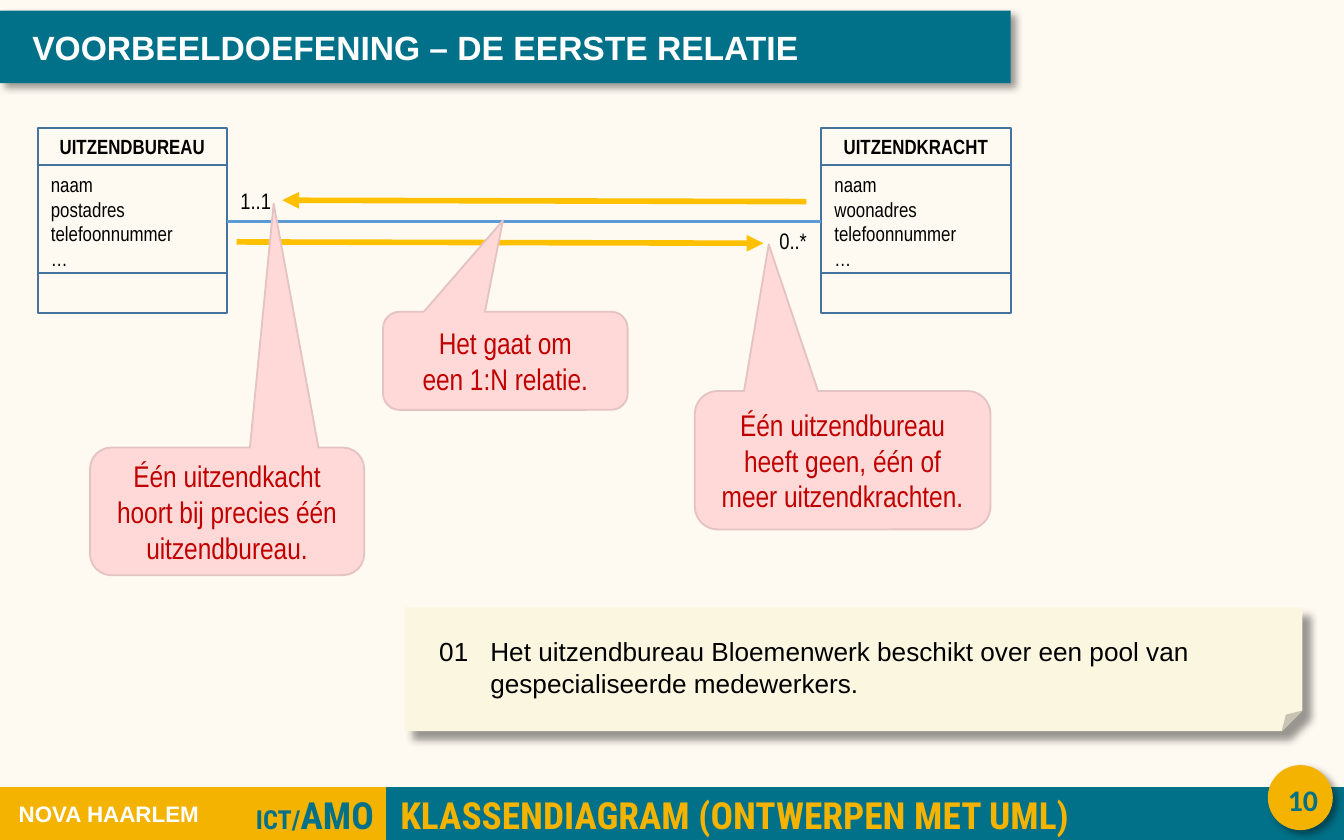
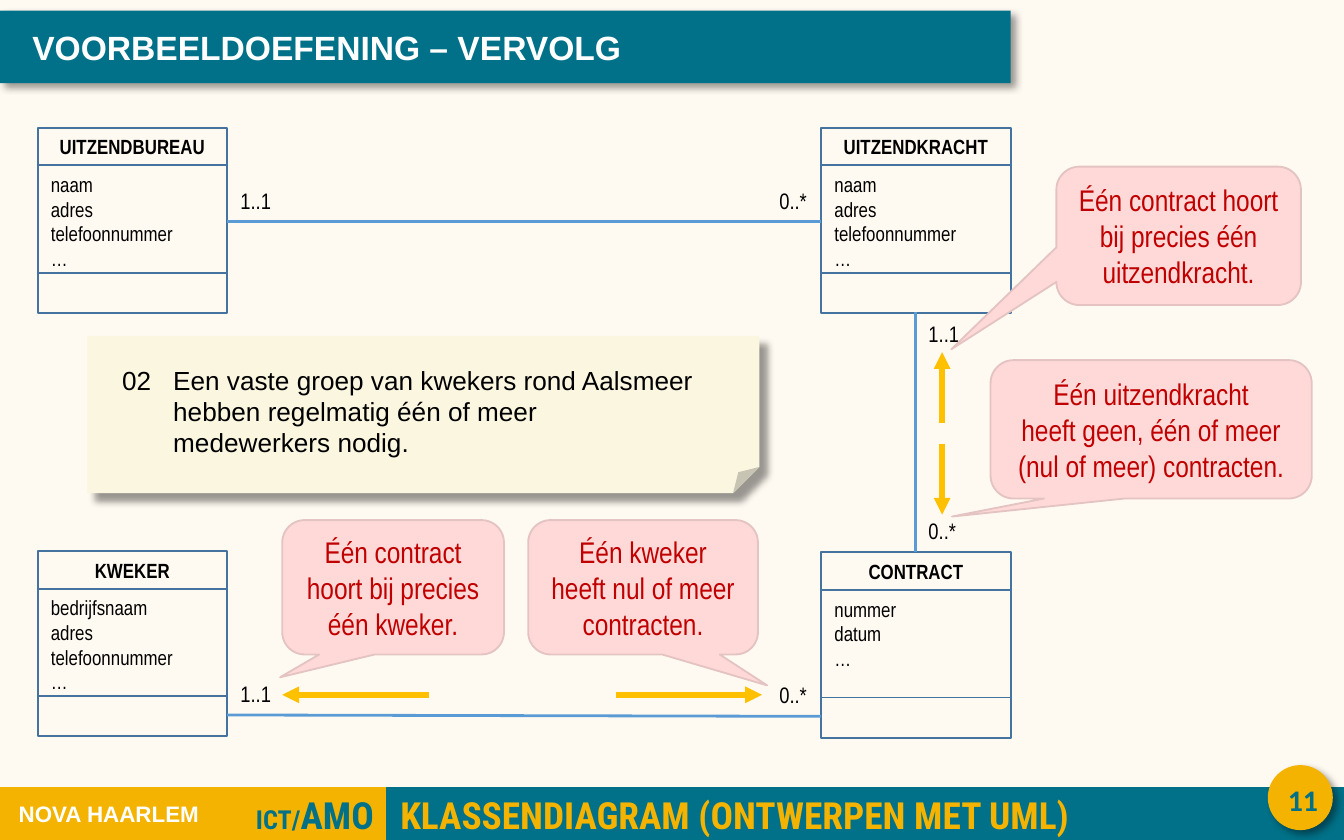
import pptx
import pptx.dml.color
import pptx.enum.shapes
import pptx.enum.text
import pptx.oxml
import pptx.oxml.ns
import pptx.util
from dataclasses import dataclass

Inches = pptx.util.Inches
Pt = pptx.util.Pt
KIND = pptx.enum.shapes.MSO_SHAPE
ALIGN = pptx.enum.text.PP_ALIGN
ANCHOR = pptx.enum.text.MSO_ANCHOR
FIT = pptx.enum.text.MSO_AUTO_SIZE
PAD = (0.1, 0.05, 0.1, 0.05)


@dataclass(frozen=True)
class Theme:
    teal: str = "007188"
    gold: str = "F3B300"
    cream: str = "FFF6E4"
    note: str = "FBF6E0"
    pink: str = "FFD9D7"
    rose: str = "E4C3C3"
    red: str = "C00000"
    frame: str = "43739E"
    link: str = "5B9BD5"
    arrow: str = "FFC000"
    black: str = "000000"
    white: str = "FFFFFF"
    sans: str = "Arial"
    narrow: str = "Arial Narrow"
    brand: str = "Roboto Condensed"
    digit: str = "Calibri"
    title: int = 18
    band: int = 20
    small: int = 14
    page: int = 16
    school: int = 12
    item: int = 11
    label: int = 12
    call: int = 16
    body: int = 14


T = Theme()


# Basic helpers
def rgb(code):
    return pptx.dml.color.RGBColor.from_string(code)


def node(parent, tag, **attrs):
    child = pptx.oxml.parse_xml(f"<a:{tag} {pptx.oxml.ns.nsdecls('a')}/>")
    for key, value in attrs.items():
        child.set(key, str(value))
    parent.append(child)
    return child


def style(run, font, size, color, bold=False):
    run.font.name = font
    run.font.size = Pt(size)
    run.font.bold = bold
    run.font.color.rgb = rgb(color)


def write(shape, lines, look, align=ALIGN.LEFT, anchor=ANCHOR.TOP,
          pad=PAD, wrap=True, grow=False):
    frame = shape.text_frame
    frame.word_wrap = wrap
    frame.auto_size = FIT.SHAPE_TO_FIT_TEXT if grow else FIT.NONE
    frame.vertical_anchor = anchor
    (frame.margin_left, frame.margin_top,
     frame.margin_right, frame.margin_bottom) = map(Inches, pad)
    for i, line in enumerate(lines):
        para = frame.add_paragraph() if i else frame.paragraphs[0]
        para.text = line
        para.alignment = align
        for run in para.runs:
            style(run, *look)
    return frame


def add_text(slide, box, lines, look, **opts):
    return write(slide.shapes.add_textbox(*map(Inches, box)), lines, look, **opts)


def add_form(shapes, kind, box, fill=None, line=None, shade=None):
    form = shapes.add_shape(kind, *map(Inches, box))
    form.shadow.inherit = False
    if fill:
        form.fill.solid()
        form.fill.fore_color.rgb = rgb(fill)
    else:
        form.fill.background()
    if line:
        form.line.color.rgb = rgb(line)
        form.line.width = Pt(1)
    else:
        form.line.fill.background()
    if shade:
        add_shade(form, shade)
    return form


def add_shade(form, dist):
    effect = form._element.spPr.find(pptx.oxml.ns.qn("a:effectLst"))
    outer = node(effect, "outerShdw", blurRad=Pt(4), dist=Pt(dist),
                 dir=45 * 60000, algn="tl", rotWithShape=0)
    node(node(outer, "srgbClr", val=T.black), "alpha", val=40000)


# Diagram parts
def add_line(slide, start, end, color=T.link, width=1.5, head=False):
    line = slide.shapes.add_connector(
        pptx.enum.shapes.MSO_CONNECTOR.STRAIGHT, *map(Inches, start + end))
    line.line.color.rgb = rgb(color)
    line.line.width = Pt(width)
    if head:
        node(line.line._get_or_add_ln(), "tailEnd", type="triangle")
    node(line._element.spPr, "effectLst")


def add_arrow(slide, start, end):
    add_line(slide, start, end, T.arrow, 3, head=True)


def add_class(slide, left, top, name, fields):
    shapes = slide.shapes.add_group_shape().shapes
    cells = []
    for high in (0.28, 0.8, 0.3):
        cells.append(add_form(shapes, KIND.RECTANGLE, (left, top, 1.41, high), line=T.frame))
        top += high
    write(cells[0], [name], (T.narrow, T.item, T.black, True),
          align=ALIGN.CENTER, anchor=ANCHOR.MIDDLE)
    write(cells[1], fields, (T.narrow, T.item, T.black))


def add_label(slide, left, top, text):
    add_text(slide, (left, top, 0.45, 0.3), [text], (T.narrow, T.label, T.black),
             wrap=False, grow=True)


def add_call(slide, box, tip, *lines):
    call = add_form(slide.shapes, KIND.ROUNDED_RECTANGULAR_CALLOUT, box, T.pink, T.rose)
    call.adjustments[0], call.adjustments[1] = tip
    write(call, lines, (T.narrow, T.call, T.red), align=ALIGN.CENTER, anchor=ANCHOR.MIDDLE)


def add_note(slide, box, inner, text):
    add_form(slide.shapes, KIND.FOLDED_CORNER, box, T.note, shade=6)
    left, top = box[0] + 0.14, box[1] + 0.16
    frame = add_text(slide, (left, top, *inner), [text], (T.sans, T.body, T.black), grow=True)
    para = frame.paragraphs[0]
    para.space_after = Pt(6)
    props = para._p.get_or_add_pPr()
    props.set("marL", str(Inches(0.4)))
    props.set("indent", str(Inches(-0.38)))


# Shared frame: background, footer bands, page number and title
def add_base(deck, page, title):
    slide = deck.slides.add_slide(deck.slide_layouts[6])
    shapes = slide.shapes
    back = add_form(shapes, KIND.RECTANGLE, (0, -0.01, 10, 5.87), T.cream)
    tint = back._element.spPr.find(".//" + pptx.oxml.ns.qn("a:srgbClr"))
    node(tint, "alpha", val=50000)

    add_form(shapes, KIND.RECTANGLE, (0, 5.86, 2.88, 0.4), T.gold, T.gold)
    add_form(shapes, KIND.RECTANGLE, (2.88, 5.86, 7.12, 0.4), T.teal, T.teal)
    flat = dict(anchor=ANCHOR.MIDDLE, pad=(0.1, 0, 0.1, 0), grow=True)
    frame = add_text(slide, (0, 5.89, 2.88, 0.34), ["ICT/"],
                     (T.brand, T.small, T.teal, True), align=ALIGN.RIGHT, **flat)
    run = frame.paragraphs[0].add_run()
    run.text = "AMO"
    style(run, T.brand, T.band, T.teal, True)
    add_text(slide, (2.88, 5.89, 7.12, 0.34), ["KLASSENDIAGRAM (ONTWERPEN MET UML)"],
             (T.brand, T.band, T.gold, True), **flat)

    add_form(shapes, KIND.OVAL, (9.44, 5.7, 0.47, 0.47), T.gold, T.gold, shade=3)
    add_text(slide, (9.4, 5.77, 0.59, 0.64), [str(page)],
             (T.digit, T.page, T.teal, True), align=ALIGN.CENTER, grow=True)
    add_text(slide, (0, 5.86, 1.62, 0.39), ["NOVA HAARLEM"],
             (T.sans, T.school, T.white, True), align=ALIGN.CENTER, anchor=ANCHOR.MIDDLE)

    bar = add_form(shapes, KIND.RECTANGLE, (0, 0.08, 7.52, 0.54), T.teal, shade=3)
    write(bar, [title], (T.sans, T.title, T.white, True),
          pad=(0.24, 0.12, 0, 0.12), grow=True)
    return slide


# Top row of classes and the relation between them
def add_pair(slide, first, second):
    for left, name, place in ((0.28, "UITZENDBUREAU", first), (6.11, "UITZENDKRACHT", second)):
        add_class(slide, left, 0.95, name, ["naam", place, "telefoonnummer", "…"])
    add_line(slide, (1.69, 1.65), (6.11, 1.65))
    add_label(slide, 1.69, 1.34, "1..1")


def draw_first(deck):
    slide = add_base(deck, 10, "VOORBEELDOEFENING – DE EERSTE RELATIE")
    add_pair(slide, "postadres", "woonadres")
    add_label(slide, 5.7, 1.64, "0..*")
    add_note(slide, (3.01, 4.52, 6.68, 0.92), (6.24, 0.57),
             "01\tHet uitzendbureau Bloemenwerk beschikt over een pool van "
             "gespecialiseerde medewerkers.")
    add_call(slide, (5.17, 2.91, 2.2, 1.03), (-0.25, -1.56),
             "Één uitzendbureau heeft geen, één of meer uitzendkrachten.")
    add_arrow(slide, (1.76, 1.8), (5.68, 1.81))
    add_arrow(slide, (6, 1.5), (2.1, 1.49))
    add_call(slide, (2.85, 2.32, 1.82, 0.73), (-0.01, -1.43),
             "Het gaat om\veen 1:N relatie.")
    add_call(slide, (0.67, 3.33, 2.04, 0.95), (0.17, -2.41),
             "Één uitzendkacht hoort bij precies één uitzendbureau.")


def draw_second(deck):
    slide = add_base(deck, 11, "VOORBEELDOEFENING – VERVOLG")
    add_pair(slide, "adres", "adres")
    add_label(slide, 5.7, 1.34, "0..*")
    add_class(slide, 0.28, 4.1, "KWEKER", ["bedrijfsnaam", "adres", "telefoonnummer", "…"])
    add_note(slide, (0.65, 2.5, 5, 1.17), (4.51, 0.81),
             "02\tEen vaste groep van kwekers rond Aalsmeer hebben regelmatig "
             "één of meer medewerkers nodig.")
    add_class(slide, 6.11, 4.11, "CONTRACT", ["nummer", "datum", "…"])

    # Relations with the contract
    add_line(slide, (1.69, 5.32), (6.11, 5.33))
    add_line(slide, (6.81, 2.32), (6.81, 4.11))
    add_label(slide, 6.81, 2.33, "1..1")
    add_label(slide, 6.81, 3.8, "0..*")
    add_label(slide, 5.7, 5.02, "0..*")
    add_label(slide, 1.69, 5.01, "1..1")

    # Explanations
    add_call(slide, (7.37, 2.68, 2.39, 1.03), (-0.62, 0.63),
             "Één uitzendkracht", "heeft geen, één of meer (nul of meer) contracten.")
    add_call(slide, (2.1, 3.87, 1.65, 1), (-0.51, 0.67),
             "Één contract hoort bij precies één kweker.")
    add_call(slide, (7.86, 1.24, 1.82, 1.03), (-0.93, 0.82),
             "Één contract hoort bij precies één uitzendkracht.")
    add_call(slide, (3.93, 3.87, 1.71, 1), (0.54, 0.73),
             "Één kweker\vheeft nul of meer contracten.")

    # Reading directions
    add_arrow(slide, (3.19, 5.17), (2.1, 5.17))
    add_arrow(slide, (4.58, 5.17), (5.67, 5.17))
    add_arrow(slide, (7.01, 3.15), (7.01, 2.62))
    add_arrow(slide, (7.01, 3.3), (7.01, 3.83))


def main():
    deck = pptx.Presentation()
    deck.slide_width = Inches(10)
    deck.slide_height = Inches(6.25)
    draw_first(deck)
    draw_second(deck)
    deck.save("out.pptx")


if __name__ == "__main__":
    main()
